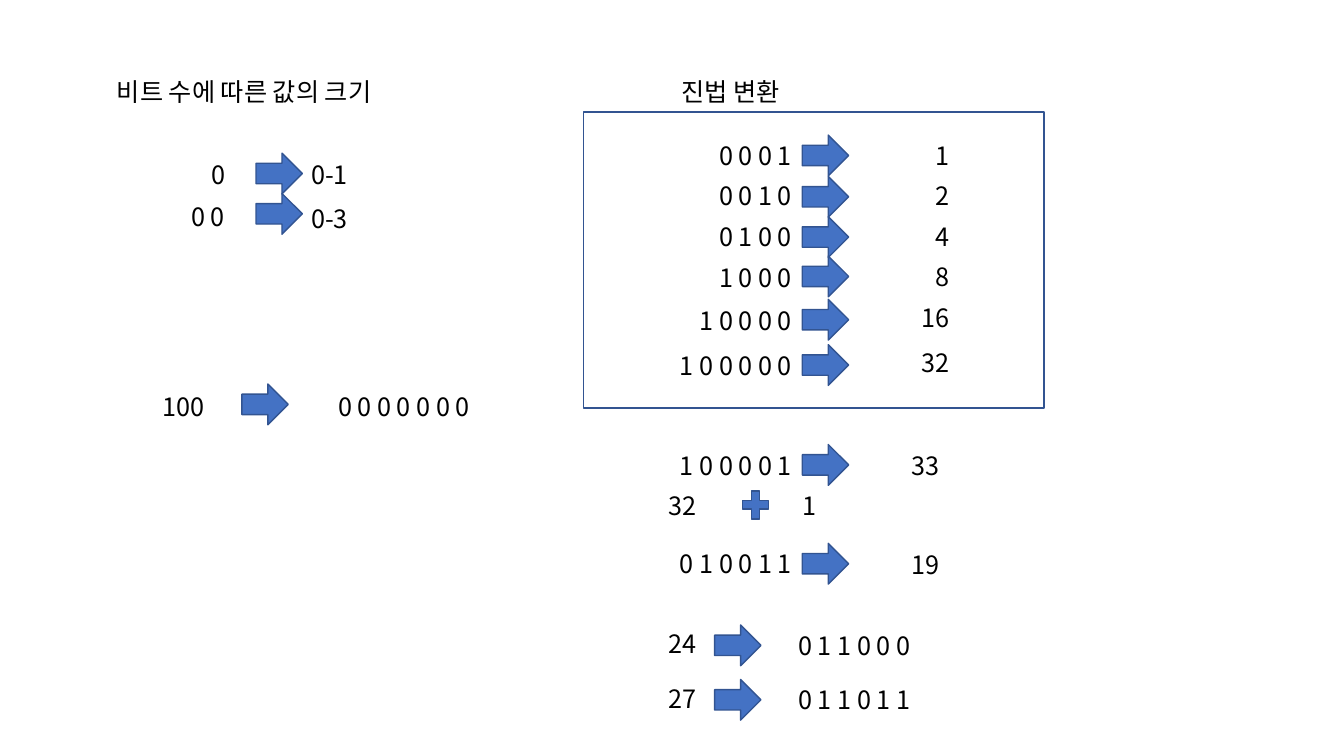
from dataclasses import dataclass

from lxml.etree import SubElement
from pptx import Presentation
from pptx.dml.color import RGBColor
from pptx.enum.shapes import MSO_SHAPE
from pptx.enum.text import MSO_ANCHOR, MSO_AUTO_SIZE, PP_ALIGN
from pptx.oxml.ns import qn
from pptx.shapes.autoshape import Shape
from pptx.slide import Slide
from pptx.util import Pt


@dataclass(frozen=True)
class Theme:
    font: str = "Noto Sans CJK KR"
    text_size: float = 18
    text: RGBColor = RGBColor(0x00, 0x00, 0x00)
    accent: RGBColor = RGBColor(0x44, 0x72, 0xC4)
    outline: RGBColor = RGBColor(0x32, 0x54, 0x91)
    outline_width: float = 1
    row_height: float = 29.1
    arrow_width: float = 33.1


@dataclass(frozen=True)
class Columns:
    source_right: float
    arrow_left: float
    result_right: float


@dataclass(frozen=True)
class Conversion:
    columns: Columns
    source: str
    result: str
    source_top: float
    arrow_top: float
    result_top: float


THEME = Theme()

# Column sets
RANGE = Columns(167.8, 182.9, 255.6)
WIDTH = Columns(153.4, 172.8, 342.7)
POWER = Columns(572.8, 573.1, 685.4)
SUM = Columns(572.8, 573.1, 678.2)
BINARY = Columns(504.7, 510.5, 657.4)

CONVERSIONS = [
    Conversion(RANGE, "0", "0-1", 110.2, 109.4, 110.2),
    Conversion(RANGE, "0 0", "0-3", 140.4, 138.2, 141.8),
    Conversion(WIDTH, "100", "0 0 0 0 0 0 0", 275.8, 274.3, 275.8),
    Conversion(POWER, "0 0 0 1", "1", 96.5, 96.5, 96.5),
    Conversion(POWER, "0 0 1 0", "2", 125.3, 126, 125.3),
    Conversion(POWER, "0 1 0 0", "4", 154.8, 154.8, 154.8),
    Conversion(POWER, "1 0 0 0", "8", 183.6, 182.9, 182.9),
    Conversion(POWER, "1 0 0 0 0", "16", 214.6, 213.8, 212.4),
    Conversion(POWER, "1 0 0 0 0 0", "32", 247, 246.2, 244.8),
    Conversion(SUM, "1 0 0 0 0 1", "33", 318.2, 317.5, 318.2),
    Conversion(SUM, "0 1 0 0 1 1", "19", 388.1, 388.1, 388.8),
    Conversion(BINARY, "24", "0 1 1 0 0 0", 445, 446.4, 446.4),
    Conversion(BINARY, "27", "0 1 1 0 1 1", 484.6, 485.3, 485.3),
]


def set_attributes(target: object, values: dict) -> None:
    for name, value in values.items():
        setattr(target, name, value)


def write_text(box: Shape, text: str, alignment: PP_ALIGN) -> None:
    set_attributes(box.text_frame, {
        "word_wrap": False,
        "auto_size": MSO_AUTO_SIZE.NONE,
        "vertical_anchor": MSO_ANCHOR.TOP,
        "margin_left": Pt(7.2),
        "margin_right": Pt(7.2),
        "margin_top": Pt(3.6),
        "margin_bottom": Pt(3.6),
    })
    para = box.text_frame.paragraphs[0]
    set_attributes(para, {
        "alignment": alignment,
        "line_spacing": 1.0,
        "space_before": Pt(0),
    })
    span = para.add_run()
    span.text = text
    set_attributes(span.font, {
        "name": THEME.font,
        "size": Pt(THEME.text_size),
        "bold": False,
    })
    span.font.color.rgb = THEME.text
    SubElement(span.font._element, qn("a:ea"), typeface=THEME.font)


def place_heading(box: Shape, text: str, left: float, width: float) -> None:
    set_attributes(box, {
        "left": Pt(left),
        "top": Pt(51.1),
        "width": Pt(width),
        "height": Pt(THEME.row_height),
    })
    write_text(box, text, PP_ALIGN.LEFT)


def add_value(page: Slide, text: str, right: float, top: float) -> None:
    advances = {" ": 6.5, "-": 7.2}
    width = 14.4 + sum(advances.get(letter, 9.95) for letter in text)
    box = page.shapes.add_textbox(
        Pt(right - width), Pt(top), Pt(width), Pt(THEME.row_height))
    write_text(box, text, PP_ALIGN.RIGHT)


def add_outlined(page: Slide, kind: MSO_SHAPE, left: float, top: float,
                 width: float, height: float, filled: bool = True) -> None:
    shape = page.shapes.add_shape(kind, Pt(left), Pt(top), Pt(width), Pt(height))
    shape.shadow.inherit = False
    if filled:
        shape.fill.solid()
        shape.fill.fore_color.rgb = THEME.accent
    else:
        shape.fill.background()
    shape.line.color.rgb = THEME.outline
    shape.line.width = Pt(THEME.outline_width)


def add_conversion(page: Slide, row: Conversion) -> None:
    add_value(page, row.source, row.columns.source_right, row.source_top)
    add_outlined(page, MSO_SHAPE.RIGHT_ARROW, row.columns.arrow_left,
                 row.arrow_top, THEME.arrow_width, THEME.row_height)
    add_value(page, row.result, row.columns.result_right, row.result_top)


def main() -> None:
    deck = Presentation()
    set_attributes(deck, {"slide_width": Pt(960), "slide_height": Pt(540)})
    page = deck.slides.add_slide(deck.slide_layouts.get_by_name("Section Header"))

    # Headings
    place_heading(page.shapes.title, "비트 수에 따른 값의 크기", 76.3, 221.8)
    place_heading(page.placeholders[1], "진법 변환", 479.5, 93.6)

    # Conversion rows
    for row in CONVERSIONS:
        add_conversion(page, row)

    # Frame around the powers of two
    add_outlined(page, MSO_SHAPE.RECTANGLE, 416.9, 79.9, 329, 211.7, filled=False)

    # Sum that explains 33
    add_value(page, "32", 504.7, 347)
    add_outlined(page, MSO_SHAPE.MATH_PLUS, 527, 347, 25.2, 27.4)
    add_value(page, "1", 590.4, 347)

    deck.save("out.pptx")


if __name__ == "__main__":
    main()
